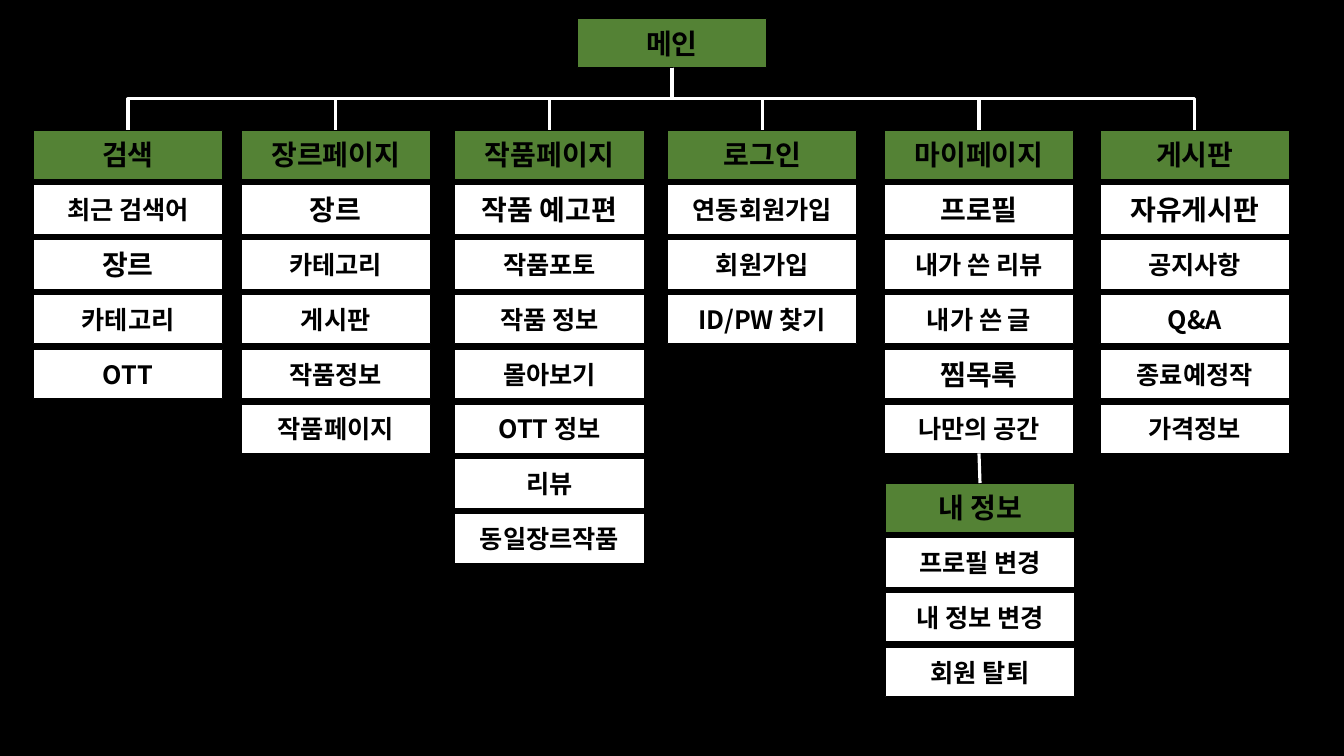
import lxml.etree
import pptx
import pptx.dml.color
import pptx.enum.shapes
import pptx.enum.text
import pptx.oxml.ns
import pptx.util

COLORS = {"ground": "000000", "heading": "548235", "item": "FFFFFF",
          "text": "000000", "border": "000000", "link": "FFFFFF"}
FONT = "Noto Sans CJK KR"

# Grid in inches: the row pitch is a share of the slide's height
SLIDE_WIDTH, SLIDE_HEIGHT = 13.33, 7.5
BOX_WIDTH, BOX_HEIGHT = 1.88, 0.49
FIRST_ROW = 1.29
ROW_PITCH = SLIDE_HEIGHT * 0.0725
MAIN_ROW, ACCOUNT_ROW = -2.04, 6.44
BOTTOM, TOP = 2, 0

# Left edge, heading, items
MENUS = [
    (0.33, "검색", ["최근 검색어", "장르", "카테고리", "OTT"]),
    (2.39, "장르페이지", ["장르", "카테고리", "게시판", "작품정보", "작품페이지"]),
    (4.51, "작품페이지", ["작품 예고편", "작품포토", "작품 정보", "몰아보기",
                     "OTT 정보", "리뷰", "동일장르작품"]),
    (6.62, "로그인", ["연동회원가입", "회원가입", "ID/PW 찾기"]),
    (8.77, "마이페이지", ["프로필", "내가 쓴 리뷰", "내가 쓴 글", "찜목록", "나만의 공간"]),
    (10.91, "게시판", ["자유게시판", "공지사항", "Q&A", "종료예정작", "가격정보"]),
]
ACCOUNT_MENU = (8.78, "내 정보", ["프로필 변경", "내 정보 변경", "회원 탈퇴"])
LARGE_ITEMS = {"장르", "작품 예고편", "프로필", "찜목록", "자유게시판"}


def color(name):
    return pptx.dml.color.RGBColor.from_string(COLORS[name])


def add_box(page, left, row, text, kind):
    box = page.shapes.add_shape(
        pptx.enum.shapes.MSO_SHAPE.RECTANGLE,
        pptx.util.Inches(left), pptx.util.Inches(FIRST_ROW + row * ROW_PITCH),
        pptx.util.Inches(BOX_WIDTH), pptx.util.Inches(BOX_HEIGHT))
    box.shadow.inherit = False
    box.fill.solid()
    box.fill.fore_color.rgb = color(kind)
    box.line.color.rgb = color("border")
    box.line.width = pptx.util.Pt(0.75)
    box.text_frame.word_wrap = True
    box.text_frame.vertical_anchor = pptx.enum.text.MSO_ANCHOR.MIDDLE
    para = box.text_frame.paragraphs[0]
    para.alignment = pptx.enum.text.PP_ALIGN.CENTER
    span = para.add_run()
    span.text = text
    large = kind == "heading" or text in LARGE_ITEMS
    span.font.size = pptx.util.Pt(20 if large else 18)
    span.font.bold = True
    span.font.color.rgb = color("text")
    span.font.name = FONT
    # Korean letters take the East Asian typeface
    lxml.etree.SubElement(span.font._element, pptx.oxml.ns.qn("a:ea"), typeface=FONT)
    return box


def add_menu(page, left, heading, items, row=0):
    """Stack a heading and its items; return the first and last box."""
    boxes = [add_box(page, left, row, heading, "heading")]
    for step, item in enumerate(items, 1):
        boxes.append(add_box(page, left, row + step, item, "item"))
    return boxes[0], boxes[-1]


def add_link(page, upper, lower, kind):
    link = page.shapes.add_connector(kind, 0, 0, 0, 0)
    link.begin_connect(upper, BOTTOM)
    link.end_connect(lower, TOP)
    link.line.color.rgb = color("link")
    link.line.width = pptx.util.Pt(2.25)
    lxml.etree.SubElement(link._element.spPr, pptx.oxml.ns.qn("a:effectLst"))
    return link


def add_branch(page, upper, lower):
    """Elbow that leaves downwards: turn its frame by a quarter."""
    link = add_link(page, upper, lower, pptx.enum.shapes.MSO_CONNECTOR.ELBOW)
    start_x, end_x = link.begin_x, link.end_x
    start_y, end_y = link.begin_y, link.end_y
    drop, reach = end_y - start_y, abs(end_x - start_x)
    link.left = (start_x + end_x - drop) // 2
    link.top = (start_y + end_y - reach) // 2
    link.width, link.height = drop, reach
    frame = link._element.spPr.find(pptx.oxml.ns.qn("a:xfrm"))
    rightwards = end_x > start_x
    frame.set("rot", str((270 if rightwards else 90) * 60000))
    frame.set("flipH", "1" if rightwards else "0")
    frame.set("flipV", "0")


def main():
    deck = pptx.Presentation()
    deck.slide_width = pptx.util.Inches(SLIDE_WIDTH)
    deck.slide_height = pptx.util.Inches(SLIDE_HEIGHT)
    page = deck.slides.add_slide(deck.slide_layouts[6])
    page.background.fill.solid()
    page.background.fill.fore_color.rgb = color("ground")

    # Main page and its menus
    main_box = add_box(page, (SLIDE_WIDTH - BOX_WIDTH) / 2, MAIN_ROW, "메인", "heading")
    last_items = {}
    for left, heading, items in MENUS:
        first, last_items[heading] = add_menu(page, left, heading, items)
        add_branch(page, main_box, first)

    # Account menu under the personal page
    account, _ = add_menu(page, *ACCOUNT_MENU, row=ACCOUNT_ROW)
    add_link(page, last_items["마이페이지"], account,
             pptx.enum.shapes.MSO_CONNECTOR.STRAIGHT)

    deck.save("out.pptx")


if __name__ == "__main__":
    main()
